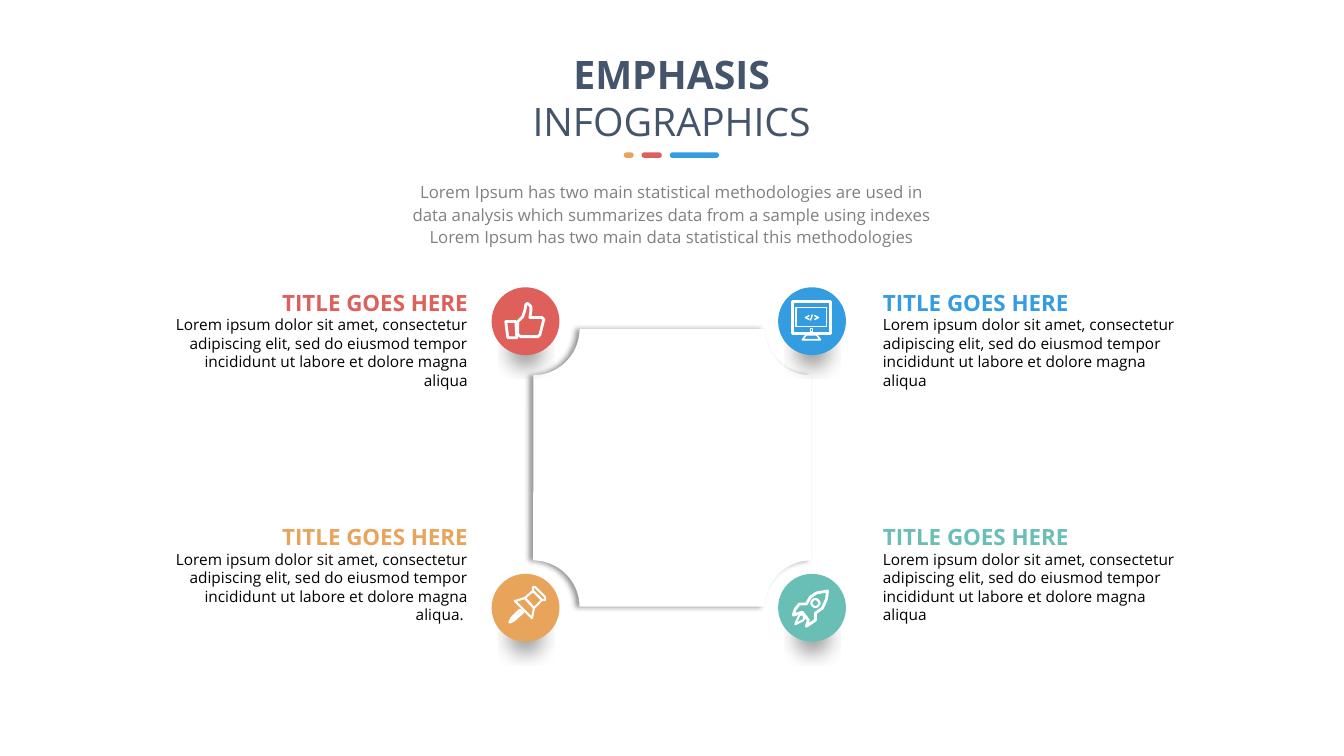
import math

from lxml import etree
from pptx import Presentation
from pptx.dml import color
from pptx.enum import shapes, text
from pptx.oxml import ns
from pptx.util import Cm, Inches, Pt

BLUE = color.RGBColor(0x34, 0x9D, 0xE1)
RED = color.RGBColor(0xDF, 0x5F, 0x5A)
TEAL = color.RGBColor(0x69, 0xBE, 0xB6)
ORANGE = color.RGBColor(0xE8, 0xA4, 0x5B)
NAVY = color.RGBColor(0x44, 0x54, 0x6A)
GRAY = color.RGBColor(0x80, 0x80, 0x80)
BLACK = color.RGBColor(0, 0, 0)
WHITE = color.RGBColor(0xFF, 0xFF, 0xFF)

LEFT, CENTER, RIGHT = text.PP_ALIGN.LEFT, text.PP_ALIGN.CENTER, text.PP_ALIGN.RIGHT
BODY = ("Lorem ipsum dolor sit amet, consectetur adipiscing elit, sed do eiusmod "
        "tempor incididunt ut labore et dolore magna aliqua")
INTRO = ("Lorem Ipsum has two main statistical methodologies are used in data analysis "
         "which summarizes data from a sample using indexes Lorem Ipsum has two main "
         "data statistical this methodologies")
DISC = 1.71


def ring(cx, cy, radius, count=24):
    angles = [2 * math.pi * i / count for i in range(count)]
    return [(cx + radius * math.cos(a), cy + radius * math.sin(a)) for a in angles]


THUMB = [
    ([(14, 34), (24, 34), (25, 50), (16, 50)], True, 2),
    ([(26, 34), (31, 29), (33, 23), (34, 17), (36, 16), (39, 19), (39, 24), (38, 30),
      (50, 30), (52, 32), (51, 35), (50, 39), (49, 43), (48, 47), (46, 49), (29, 49),
      (26, 47)], True, 2),
]
MONITOR = [
    ([(13.5, 14.5), (52.5, 14.5), (52.5, 46.5), (13.5, 46.5)], True, 2),
    ([(18, 20), (48, 20), (48, 39), (18, 39)], True, 1.2),
    ([(28, 47), (38, 47), (42, 52), (24, 52)], True, 1.2),
    ([(31, 28), (27, 30), (31, 32)], False, 1),
    ([(34.5, 27), (32.5, 33)], False, 1),
    ([(36, 28), (40, 30), (36, 32)], False, 1),
    (ring(33, 42.5, 1.5), True, 0.75),
]
ROCKET = [
    ([(15, 41), (17, 35), (21, 30), (28, 30), (32, 23), (38, 19), (49, 17), (48, 25),
      (44, 34), (37, 39), (37, 46), (28, 52), (30, 46), (24, 38)], True, 2),
    (ring(37, 29, 4), True, 1.5),
    ([(17, 50), (21, 41), (24, 40), (26, 43), (25, 46)], True, 1.5),
]
PIN = [
    ([(41, 13), (43, 13), (53, 23), (53, 26), (50, 26), (41, 17)], True, 1.5),
    ([(41, 17), (33, 24), (42, 34), (50, 26)], True, 1.5),
    ([(23, 27), (33, 24), (42, 34), (40, 44)], True, 1.5),
    ([(28, 36), (20, 44), (18, 48), (22, 46), (31, 38)], True, 2),
]


def write(p, content, size, rgb, bold=False, align=LEFT):
    p.alignment = align
    r = p.add_run()
    r.text = content
    r.font.name = "Open Sans"
    r.font.size = Pt(size)
    r.font.bold = bold
    r.font.color.rgb = rgb


def add_filled(parent, preset, x, y, w, h, rgb):
    sp = parent.shapes.add_shape(preset, Cm(x), Cm(y), Cm(w), Cm(h))
    sp.fill.solid()
    sp.fill.fore_color.rgb = rgb
    sp.line.fill.background()
    sp.shadow.inherit = False
    return sp


def add_shadow(sp, blur, dist, angle, **extra):
    effects = sp._element.spPr.find(ns.qn("a:effectLst"))
    shadow = etree.SubElement(effects, ns.qn("a:outerShdw"), blurRad=str(Pt(blur)),
                              dist=str(Pt(dist)), dir=str(angle * 60000),
                              rotWithShape="0", **extra)
    black = etree.SubElement(shadow, ns.qn("a:srgbClr"), val="000000")
    etree.SubElement(black, ns.qn("a:alpha"), val="40000")


def add_panel(s, x, y, size):
    sp = add_filled(s, shapes.MSO_SHAPE.PLAQUE, x, y, size, size, WHITE)
    sp.adjustments[0] = 1 / 6
    add_shadow(sp, 4, 3, 180)


def add_badge(s, x, y, rgb, icon):
    group = s.shapes.add_group_shape()
    disc = add_filled(group, shapes.MSO_SHAPE.OVAL, x, y, DISC, DISC, rgb)
    add_shadow(disc, 15, 33, 90, sx="50000", sy="50000", algn="t")
    for points, closed, width in icon:
        fb = group.shapes.build_freeform(*points[0], scale=Inches(0.01))
        fb.add_line_segments(points[1:], close=closed)
        sp = fb.convert_to_shape(Cm(x), Cm(y))
        sp.fill.background()
        sp.line.color.rgb = WHITE
        sp.line.width = Pt(width)
        etree.SubElement(sp.line._get_or_add_ln(), ns.qn("a:round"))
        sp.shadow.inherit = False


def add_caption(s, x, y, w, h, rgb, align, body):
    tf = s.shapes.add_textbox(Cm(x), Cm(y), Cm(w), Cm(h)).text_frame
    tf.word_wrap = True
    tf.vertical_anchor = text.MSO_ANCHOR.MIDDLE
    tf.margin_left = tf.margin_right = tf.margin_top = tf.margin_bottom = 0
    p = tf.paragraphs[0]
    p.space_after = Pt(12)
    write(p, "TITLE GOES HERE", 16, rgb, bold=True, align=align)
    p.add_line_break()
    etree.SubElement(p._p[-1], ns.qn("a:rPr"), sz="1600")
    write(p, body, 11, BLACK, align=align)


def add_header(s, x, y, w, h):
    title = s.shapes.title
    title.left, title.top, title.width, title.height = Cm(x), Cm(y), Cm(w), Cm(h)
    tf = title.text_frame
    tf.word_wrap = False
    tf.auto_size = text.MSO_AUTO_SIZE.NONE
    tf.vertical_anchor = text.MSO_ANCHOR.TOP
    write(tf.paragraphs[0], "EMPHASIS", 28, NAVY, bold=True, align=CENTER)
    write(tf.add_paragraph(), "INFOGRAPHICS", 28, NAVY, align=CENTER)

    dash_x = x + 2.59
    for dash_w, rgb in ((0.25, ORANGE), (0.51, RED), (1.24, BLUE)):
        dash = add_filled(s, shapes.MSO_SHAPE.ROUNDED_RECTANGLE,
                          dash_x, y + 2.7, dash_w, 0.14, rgb)
        dash.adjustments[0] = 0.5
        dash_x += dash_w + 0.2


def add_intro(s, x, y, w, h):
    tf = s.shapes.add_textbox(Cm(x), Cm(y), Cm(w), Cm(h)).text_frame
    tf.word_wrap = True
    tf.margin_left = tf.margin_right = Cm(0.3)
    tf.margin_top = tf.margin_bottom = Cm(0.15)
    tf.paragraphs[0].line_spacing = 1.1
    write(tf.paragraphs[0], INTRO, 12, GRAY, align=CENTER)


def main():
    prs = Presentation()
    prs.slide_width, prs.slide_height = Cm(33.87), Cm(19.05)
    s = prs.slides.add_slide(prs.slide_layouts[5])
    add_header(s, 13.13, 1.14, 7.59, 2.64)
    add_intro(s, 9.88, 4.39, 14.1, 1.98)
    add_panel(s, 13.44, 8.29, 7)
    corners = (
        (0, 0, RED, THUMB, BODY),
        (1, 0, BLUE, MONITOR, BODY),
        (0, 1, ORANGE, PIN, BODY + ". "),
        (1, 1, TEAL, ROCKET, BODY),
    )
    for col, row, rgb, icon, body in corners:
        add_badge(s, 12.39 + 7.22 * col, 7.24 + 7.22 * row, rgb, icon)
        add_caption(s, 4.37 + 17.88 * col, 7.26 + 5.9 * row, 7.42, 2.57,
                    rgb, LEFT if col else RIGHT, body)
    prs.save("out.pptx")


if __name__ == "__main__":
    main()
